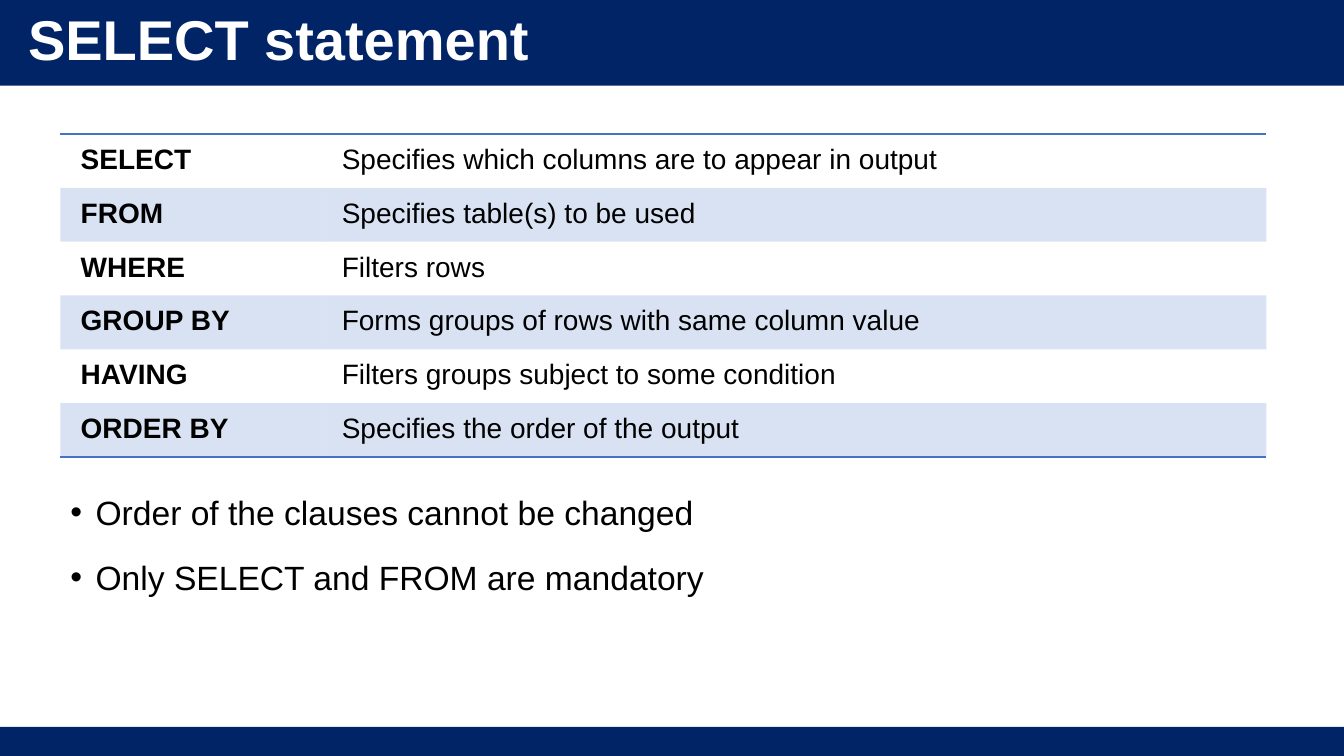
from dataclasses import dataclass

from lxml import etree
from pptx import Presentation
from pptx.dml.color import RGBColor
from pptx.enum.shapes import MSO_SHAPE
from pptx.enum.text import MSO_ANCHOR
from pptx.oxml.ns import qn
from pptx.util import Inches, Pt

RECTANGLE = MSO_SHAPE.RECTANGLE
MIDDLE = MSO_ANCHOR.MIDDLE


@dataclass(frozen=True)
class Theme:
    """Colours, font and type sizes of the slide."""
    navy: str = "002466"
    blue: str = "4472C4"
    white: str = "FFFFFF"
    black: str = "000000"
    font: str = "Arial"
    title_size: int = 40
    bullet_size: int = 24
    table_size: int = 20
    band_opacity: int = 20


THEME = Theme()
SLIDE_WIDTH, SLIDE_HEIGHT = 13.33, 7.5
HEADER_HEIGHT, FOOTER_HEIGHT = 0.85, 0.29
CONTENT_LEFT = 0.6
COLUMN_WIDTHS = (2.59, 9.37)
ROW_HEIGHT = 0.51

CLAUSES = (
    ("SELECT", "Specifies which columns are to appear in output"),
    ("FROM", "Specifies table(s) to be used"),
    ("WHERE", "Filters rows"),
    ("GROUP BY", "Forms groups of rows with same column value"),
    ("HAVING", "Filters groups subject to some condition"),
    ("ORDER BY", "Specifies the order of the output"),
)
RULES = (
    "Order of the clauses cannot be changed",
    "Only SELECT and FROM are mandatory",
)


def write_text(paragraph, text, *, size, color=THEME.black, bold=False,
               line_spacing=None, before=None, after=None):
    """Put one formatted run into a paragraph."""
    run = paragraph.add_run()
    run.text = text
    run.font.name = THEME.font
    run.font.size = Pt(size)
    run.font.bold = bold
    run.font.color.rgb = RGBColor.from_string(color)
    if line_spacing is not None:
        paragraph.line_spacing = line_spacing
    if before is not None:
        paragraph.space_before = Pt(before)
    if after is not None:
        paragraph.space_after = Pt(after)


def add_bar(slide, top, height):
    """Draw a navy bar across the slide."""
    bar = slide.shapes.add_shape(
        RECTANGLE, 0, Inches(top), Inches(SLIDE_WIDTH), Inches(height))
    bar.shadow.inherit = False
    bar.fill.solid()
    bar.fill.fore_color.rgb = RGBColor.from_string(THEME.navy)
    bar.line.fill.background()


def add_text_frame(slide, left, top, width, height):
    """Add a wrapping, vertically centred text box and return its frame."""
    box = slide.shapes.add_textbox(
        Inches(left), Inches(top), Inches(width), Inches(height))
    frame = box.text_frame
    frame.word_wrap = True
    frame.vertical_anchor = MIDDLE
    return frame


def set_bullet(paragraph):
    """Give a paragraph a round bullet and a hanging indent."""
    properties = paragraph._p.get_or_add_pPr()
    properties.set("marL", str(Inches(0.25)))
    properties.set("indent", str(Inches(-0.25)))
    color = etree.SubElement(properties, qn("a:buClr"))
    etree.SubElement(color, qn("a:srgbClr"), val=THEME.black)
    etree.SubElement(properties, qn("a:buFont"), typeface=THEME.font)
    etree.SubElement(properties, qn("a:buChar"), char="•")


def set_borders(cell, visible_sides):
    """Rule the named sides of a cell in blue and clear the others."""
    properties = cell._tc.get_or_add_tcPr()
    for position, side in enumerate("LRTB"):
        line = etree.Element(qn(f"a:ln{side}"), w=str(Pt(1)))
        if side in visible_sides:
            fill = etree.SubElement(line, qn("a:solidFill"))
            etree.SubElement(fill, qn("a:srgbClr"), val=THEME.blue)
        else:
            etree.SubElement(line, qn("a:noFill"))
        properties.insert(position, line)


def fill_cell(cell, banded):
    """Tint a banded cell and leave any other cell clear."""
    if not banded:
        cell.fill.background()
        return
    cell.fill.solid()
    cell.fill.fore_color.rgb = RGBColor.from_string(THEME.blue)
    color = cell._tc.tcPr.find(f"{qn('a:solidFill')}/{qn('a:srgbClr')}")
    etree.SubElement(color, qn("a:alpha"), val=str(THEME.band_opacity * 1000))


def add_clause_table(slide, left, top):
    """Add the table of clauses and their meanings."""
    table = slide.shapes.add_table(
        len(CLAUSES), len(COLUMN_WIDTHS), Inches(left), Inches(top),
        Inches(sum(COLUMN_WIDTHS)), Inches(ROW_HEIGHT * len(CLAUSES))).table
    table.first_row = False
    table.horz_banding = False
    for column, width in zip(table.columns, COLUMN_WIDTHS):
        column.width = Inches(width)
    last_row = len(CLAUSES) - 1
    for row_index, clause in enumerate(CLAUSES):
        table.rows[row_index].height = Inches(ROW_HEIGHT)
        sides = {0: "T", last_row: "B"}.get(row_index, "")
        for column_index, text in enumerate(clause):
            cell = table.cell(row_index, column_index)
            cell.margin_left = cell.margin_right = Inches(0.2)
            cell.margin_top = cell.margin_bottom = Inches(0.1)
            write_text(cell.text_frame.paragraphs[0], text,
                       size=THEME.table_size, bold=column_index == 0)
            fill_cell(cell, banded=row_index % 2 == 1)
            set_borders(cell, sides)


def add_title(slide, text):
    """Write the title on the header bar."""
    frame = add_text_frame(slide, 0.18, 0.14, 7.82, 0.57)
    write_text(frame.paragraphs[0], text, size=THEME.title_size,
               color=THEME.white, bold=True, line_spacing=0.9, before=10)


def add_rules(slide, left, top, width, height):
    """Write the bulleted rules below the table."""
    frame = add_text_frame(slide, left, top, width, height)
    for index, rule in enumerate(RULES):
        paragraph = frame.add_paragraph() if index else frame.paragraphs[0]
        write_text(paragraph, rule, size=THEME.bullet_size,
                   line_spacing=1.2, after=12)
        set_bullet(paragraph)


def main():
    """Build and save the slide."""
    presentation = Presentation()
    presentation.slide_width = Inches(SLIDE_WIDTH)
    presentation.slide_height = Inches(SLIDE_HEIGHT)
    slide = presentation.slides.add_slide(presentation.slide_layouts[6])
    add_bar(slide, 0, HEADER_HEIGHT)
    add_bar(slide, SLIDE_HEIGHT - FOOTER_HEIGHT, FOOTER_HEIGHT)
    add_title(slide, "SELECT statement")
    add_clause_table(slide, CONTENT_LEFT, 1.33)
    add_rules(slide, CONTENT_LEFT, 4.77, sum(COLUMN_WIDTHS), 1.18)
    presentation.save("out.pptx")


if __name__ == "__main__":
    main()
